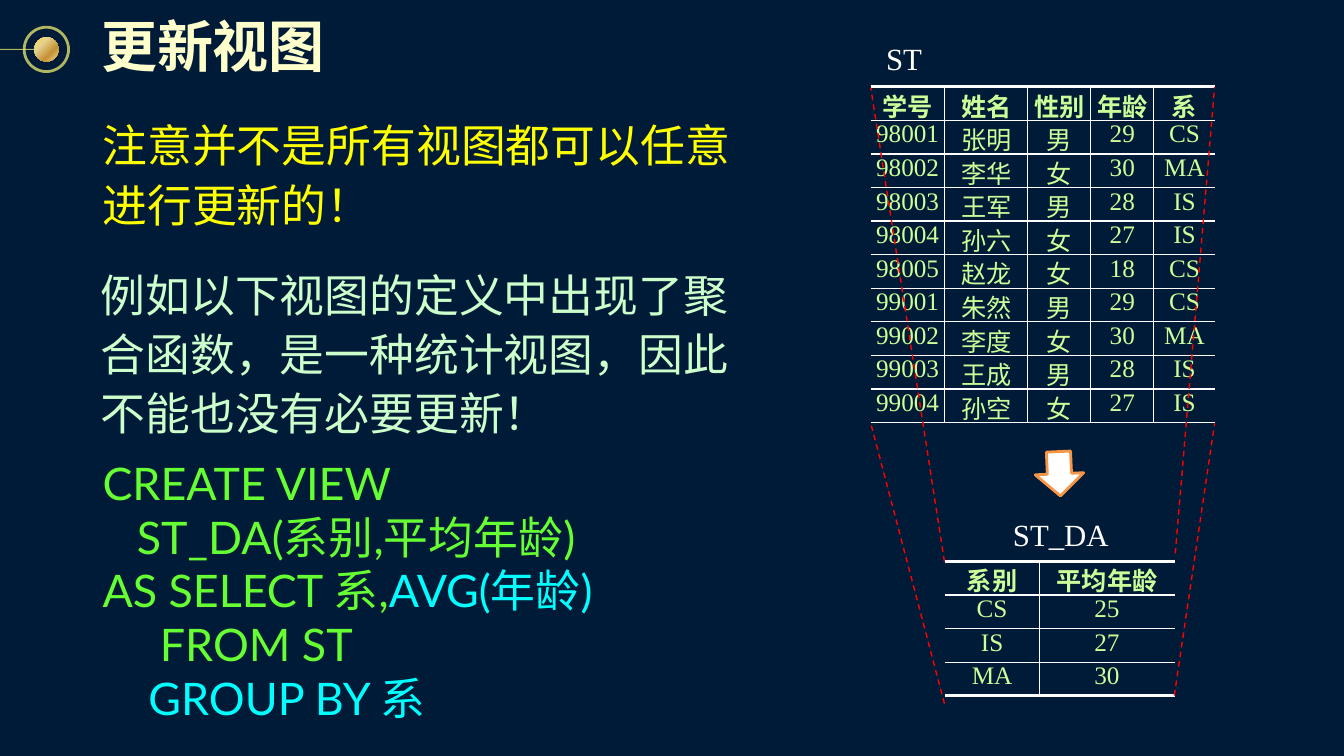
import pptx
import pptx.dml.color
import pptx.enum.dml
import pptx.enum.shapes
import pptx.enum.text
import pptx.oxml
import pptx.oxml.ns
import pptx.util

Pt = pptx.util.Pt
Shape = pptx.enum.shapes.MSO_SHAPE
Align = pptx.enum.text.PP_ALIGN
Anchor = pptx.enum.text.MSO_ANCHOR
Fit = pptx.enum.text.MSO_AUTO_SIZE
NS = pptx.oxml.ns.nsdecls("a")
CJK = "Noto Sans CJK SC"
SERIF = "Times New Roman"
WHITE, GREEN, CYAN, GOLD = "FFFFFF", "66FF33", "00FFFF", "FCF873"


def color(text):
    return pptx.dml.color.RGBColor.from_string(text)


def xml(text):
    """Parse one DrawingML element whose root tag ends at the first mark %s."""
    return pptx.oxml.parse_xml(text.replace("%s", NS, 1))


class Board:
    def __init__(self, deck, back):
        self.slide = deck.slides.add_slide(deck.slide_layouts[5])
        self.shapes = self.slide.shapes
        fill = self.slide.background.fill
        fill.solid()
        fill.fore_color.rgb = color(back)

    def style(self, run, size, face, tint, bold=False):
        font = run.font
        font.size, font.name, font.bold = Pt(size), face, bold
        font.color.rgb = color(tint)
        latin = run._r.rPr.find(pptx.oxml.ns.qn("a:latin"))
        latin.addnext(xml(f'<a:ea %s typeface="{CJK}"/>'))

    def frame(self, shape, inset, wrap):
        frame = shape.text_frame
        frame.margin_left = frame.margin_right = Pt(inset[0])
        frame.margin_top = frame.margin_bottom = Pt(inset[1])
        frame.word_wrap = wrap
        frame.auto_size = Fit.NONE if wrap else Fit.SHAPE_TO_FIT_TEXT
        return frame

    def title(self, text, box, size, tint):
        shape = self.shapes.title
        shape.left, shape.top, shape.width, shape.height = map(Pt, box)
        frame = self.frame(shape, (6, 6), False)
        frame.vertical_anchor = Anchor.MIDDLE
        frame.text = text
        para = frame.paragraphs[0]
        para.alignment = Align.LEFT
        run = para.runs[0]
        self.style(run, size, CJK, tint, True)
        run._r.rPr.find(pptx.oxml.ns.qn("a:latin")).addprevious(xml(
            '<a:effectLst %s><a:outerShdw dist="38100" dir="2700000">'
            '<a:srgbClr val="000000"/></a:outerShdw></a:effectLst>'))

    def text(self, text, box, size, face, tint, lead=None, label=False):
        shape = self.shapes.add_textbox(*map(Pt, box))
        frame = self.frame(shape, (0, 0) if label else (7.2, 3.6), not label)
        frame.text = text
        para = frame.paragraphs[0]
        if lead:
            para.line_spacing = lead
        self.style(para.runs[0], size, face, tint)

    def code(self, lines, box, size, face):
        """Add code lines, each a list of (text, colour) pieces."""
        shape = self.shapes.add_textbox(*map(Pt, box))
        frame = self.frame(shape, (7.2, 3.6), True)
        for num, line in enumerate(lines):
            para = frame.add_paragraph() if num else frame.paragraphs[0]
            props = para._p.get_or_add_pPr()
            props.set("marL", str(Pt(28)))
            props.set("indent", str(Pt(-28)))
            props.append(xml(f'<a:tabLst %s><a:tab pos="{Pt(30)}" algn="l"/></a:tabLst>'))
            for text, tint in line:
                run = para.add_run()
                run.text = text
                self.style(run, size, face, tint)

    def border(self, cell, widths):
        """Set left, right, top and bottom borders; zero means none."""
        props = cell._tc.get_or_add_tcPr()
        for num, (side, width) in enumerate(zip("LRTB", widths)):
            paint = (f'<a:solidFill><a:srgbClr val="{WHITE}"/></a:solidFill>'
                     if width else "<a:noFill/>")
            props.insert(num, xml(f'<a:ln{side} %s w="{Pt(width)}">{paint}</a:ln{side}>'))

    def table(self, rows, spot, widths, high, foot):
        """Add a table with a heavy top rule and a bottom rule of foot points."""
        last, end = len(rows) - 1, len(widths) - 1
        size = sum(widths), high * len(rows)
        grid = self.shapes.add_table(len(rows), len(widths), *map(Pt, spot + size)).table
        grid.first_row = grid.horz_banding = False
        for col, width in zip(grid.columns, widths):
            col.width = Pt(width)
        for r, row in enumerate(rows):
            grid.rows[r].height = Pt(high)
            for c, text in enumerate(row):
                cell = grid.cell(r, c)
                cell.margin_left = cell.margin_right = 0
                cell.margin_top = cell.margin_bottom = 0
                cell.fill.background()
                self.border(cell, (c > 0, c < end, 1 if r else 2.25,
                                   foot if r == last else 1))
                cell.text_frame.text = text
                para = cell.text_frame.paragraphs[0]
                para.alignment = Align.CENTER
                para._p.get_or_add_pPr().append(
                    xml('<a:spcAft %s><a:spcPct val="40000"/></a:spcAft>'))
                self.style(para.runs[0], 18, SERIF, "CCFF99", r == 0)

    def fade(self, line):
        tint = line._ln.find(".//" + pptx.oxml.ns.qn("a:srgbClr"))
        tint.append(xml('<a:alpha %s val="70000"/>'))

    def line(self, start, stop, tint, width, dash=False):
        link = self.shapes.add_connector(
            pptx.enum.shapes.MSO_CONNECTOR.STRAIGHT, *map(Pt, start + stop))
        link.line.color.rgb = color(tint)
        link.line.width = Pt(width)
        if dash:
            link.line.dash_style = pptx.enum.dml.MSO_LINE.DASH
        link._element.spPr.append(xml("<a:effectLst %s/>"))
        return link

    def shape(self, kind, box, turn, fill=None, edge=None, width=2):
        shape = self.shapes.add_shape(kind, *map(Pt, box))
        shape.shadow.inherit = False
        shape.rotation = turn
        if fill:
            shape.fill.solid()
            shape.fill.fore_color.rgb = color(fill)
        else:
            shape.fill.background()
        if edge:
            shape.line.color.rgb = color(edge)
            shape.line.width = Pt(width)
        else:
            shape.line.fill.background()
        return shape

    def blend(self, shape, stops, angle):
        """Give a shape a linear gradient of (percent, colour) stops."""
        marks = "".join(f'<a:gs pos="{at * 1000}"><a:srgbClr val="{tint}"/></a:gs>'
                        for at, tint in stops)
        old = shape._element.spPr.find(pptx.oxml.ns.qn("a:noFill"))
        old.getparent().replace(old, xml(
            f'<a:gradFill %s><a:gsLst>{marks}</a:gsLst>'
            f'<a:lin ang="{angle * 60000}" scaled="0"/></a:gradFill>'))


def main():
    deck = pptx.Presentation()
    deck.slide_width, deck.slide_height = Pt(960), Pt(540)
    board = Board(deck, "001B37")

    ring = board.shape(Shape.OVAL, (17.3, 19.4, 31.7, 31.7), 270, edge=GOLD)
    board.fade(ring.line)
    board.fade(board.line((0, 35.3), (24.5, 35.3), GOLD, 0.75).line)
    ball = board.shape(Shape.OVAL, (24.5, 26.6, 17.3, 17.3), 270)
    board.blend(ball, [(0, "FCD860"), (31, "E6D38F"), (68, "C69135"), (100, "F1DF97")], 135)
    board.title("更新视图", (66.2, 2.2, 172.8, 59.8), 40, "FFFFCC")

    board.text("ST", (632.9, 28.1, 26, 26.6), 22, SERIF, WHITE, label=True)
    board.code([
        [("CREATE VIEW", GREEN)],
        [("   ST_DA(系别,平均年龄)", GREEN)],
        [("AS SELECT 系,", GREEN), ("AVG(年龄)", CYAN)],
        [("     FROM ST", GREEN)],
        [("    GROUP BY 系", CYAN)],
    ], (66.2, 321.8, 453.6, 54), 32, "Lato")
    board.text("注意并不是所有视图都可以任意进行更新的！",
               (66.2, 77, 476, 193), 32, "Arial", "FFFF00", 1.1)
    board.text("例如以下视图的定义中出现了聚合函数，是一种统计视图，因此不能也没有必要更新！",
               (64.8, 183.6, 494.6, 85), 32, CJK, "CCFFCC", 1.1)

    people = """学号 姓名 性别 年龄 系
        98001 张明 男 29 CS
        98002 李华 女 30 MA
        98003 王军 男 28 IS
        98004 孙六 女 27 IS
        98005 赵龙 女 18 CS
        99001 朱然 男 29 CS
        99002 李度 女 30 MA
        99003 王成 男 28 IS
        99004 孙空 女 27 IS"""
    board.table([row.split() for row in people.splitlines()],
                (621.8, 62), (53, 59.4, 45, 45, 43.9), 24, 1)
    board.text("ST_DA", (723.6, 368.6, 69, 26.6), 22, SERIF, WHITE, label=True)
    board.table([("系别", "平均年龄"), ("CS", "25"), ("IS", "27"), ("MA", "30")],
                (674.8, 401), (67.7, 96.5), 24, 2.25)

    for start, stop in [((674.6, 502.6), (622, 302.4)), ((674.6, 401), (622, 62.6)),
                        ((839.5, 395.3), (867.6, 62)), ((838.8, 496.8), (867.6, 302.4))]:
        board.line(start, stop, "FF0000", 1, True)
    board.shape(Shape.LEFT_ARROW, (740.9, 321.1, 31.7, 34.6), 267.5, WHITE, "F79646")
    deck.save("out.pptx")


if __name__ == "__main__":
    main()
